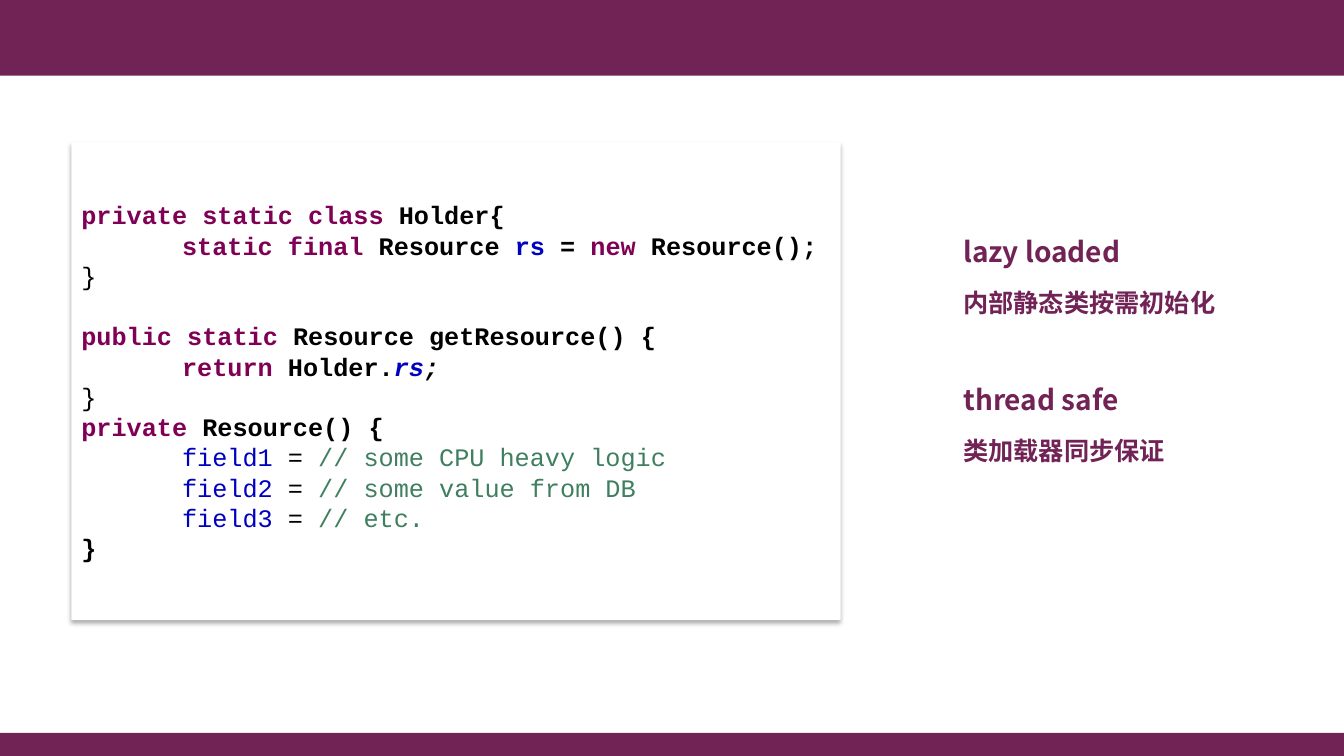
from lxml.etree import SubElement
from pptx import Presentation
from pptx.dml.color import RGBColor
from pptx.enum.shapes import MSO_SHAPE
from pptx.enum.text import MSO_ANCHOR, PP_ALIGN
from pptx.oxml.ns import qn
from pptx.util import Pt

PLUM, WHITE, BLACK = "712355", "FFFFFF", "000000"
WORD, FIELD, NOTE = "7F0055", "0000C0", "3F7F5F"
MONO, SANS = "Courier New", "Noto Sans CJK SC"


def paint(fill, tone):
    fill.solid()
    fill.fore_color.rgb = RGBColor.from_string(tone)


def write(para, text, tone=BLACK, size=18, face=MONO, bold=True, slant=False):
    run = para.add_run()
    run.text = text
    font = run.font
    font.name, font.size, font.bold, font.italic = face, Pt(size), bold, slant
    paint(font.fill, tone)
    SubElement(font._element, qn("a:ea"), typeface=face)


deck = Presentation()
deck.slide_width, deck.slide_height = Pt(960), Pt(540)
slide = deck.slides.add_slide(deck.slide_layouts[6])
shapes = slide.shapes

boxes = []
for left, top, width, height, tone in [
    (0, 0, 960, 54, PLUM),
    (0, 523.5, 960, 16.5, PLUM),
    (51, 101.5, 549.5, 341.5, WHITE),
]:
    box = shapes.add_shape(MSO_SHAPE.RECTANGLE, Pt(left), Pt(top), Pt(width), Pt(height))
    box.shadow.inherit = False
    box.line.fill.background()
    paint(box.fill, tone)
    boxes.append(box)

panel = boxes[-1]
glow = panel._element.spPr.find(qn("a:effectLst"))
shade = SubElement(glow, qn("a:outerShdw"), blurRad=str(Pt(3.5)), dist=str(Pt(2.2)),
                   dir="5400000", algn="t", rotWithShape="0")
tint = SubElement(shade, qn("a:srgbClr"), val=BLACK)
SubElement(tint, qn("a:alpha"), val="32000")

plain = {"bold": False}
code = [
    [("private static class", {"tone": WORD}), (" Holder{", {})],
    [("\tstatic final", {"tone": WORD}), (" Resource ", {}), ("rs", {"tone": FIELD}),
     (" = ", {}), ("new ", {"tone": WORD}), ("Resource();", {})],
    [("}", plain)],
    [("public static", {"tone": WORD}), (" Resource getResource() {", {})],
    [("\treturn", {"tone": WORD}), (" Holder.", {}),
     ("rs", {"tone": FIELD, "slant": True}), (";", {"slant": True})],
    [("}", plain)],
    [("private", {"tone": WORD}), (" Resource() {", {})],
]
for num, note in enumerate(["some CPU heavy logic", "some value from DB", "etc."], 1):
    code.append([(f"\tfield{num}", {"tone": FIELD, "bold": False}), (" = ", plain),
                 (f"// {note}", {"tone": NOTE, "bold": False})])
code.append([("}", {})])

PITCH = Pt(21.6)
frame = panel.text_frame
frame.word_wrap = True
frame.vertical_anchor = MSO_ANCHOR.MIDDLE
for row, parts in enumerate(code):
    para = frame.add_paragraph() if row else frame.paragraphs[0]
    para.alignment = PP_ALIGN.LEFT
    para.line_spacing = PITCH
    if parts[0][0] == "public static":
        para.space_before = PITCH
    para._p.get_or_add_pPr().set("defTabSz", str(Pt(72)))
    for text, style in parts:
        write(para, text, **style)

for top, head, body in [
    (164, "lazy loaded", "内部静态类按需初始化"),
    (270, "thread safe", "类加载器同步保证"),
]:
    for drop, text, size in [(0, head, 20), (37.5, body, 18)]:
        label = shapes.add_textbox(Pt(681), Pt(top + drop), Pt(204), Pt(size * 1.6))
        label.text_frame.word_wrap = True
        write(label.text_frame.paragraphs[0], text, tone=PLUM, size=size, face=SANS)

deck.save("out.pptx")
